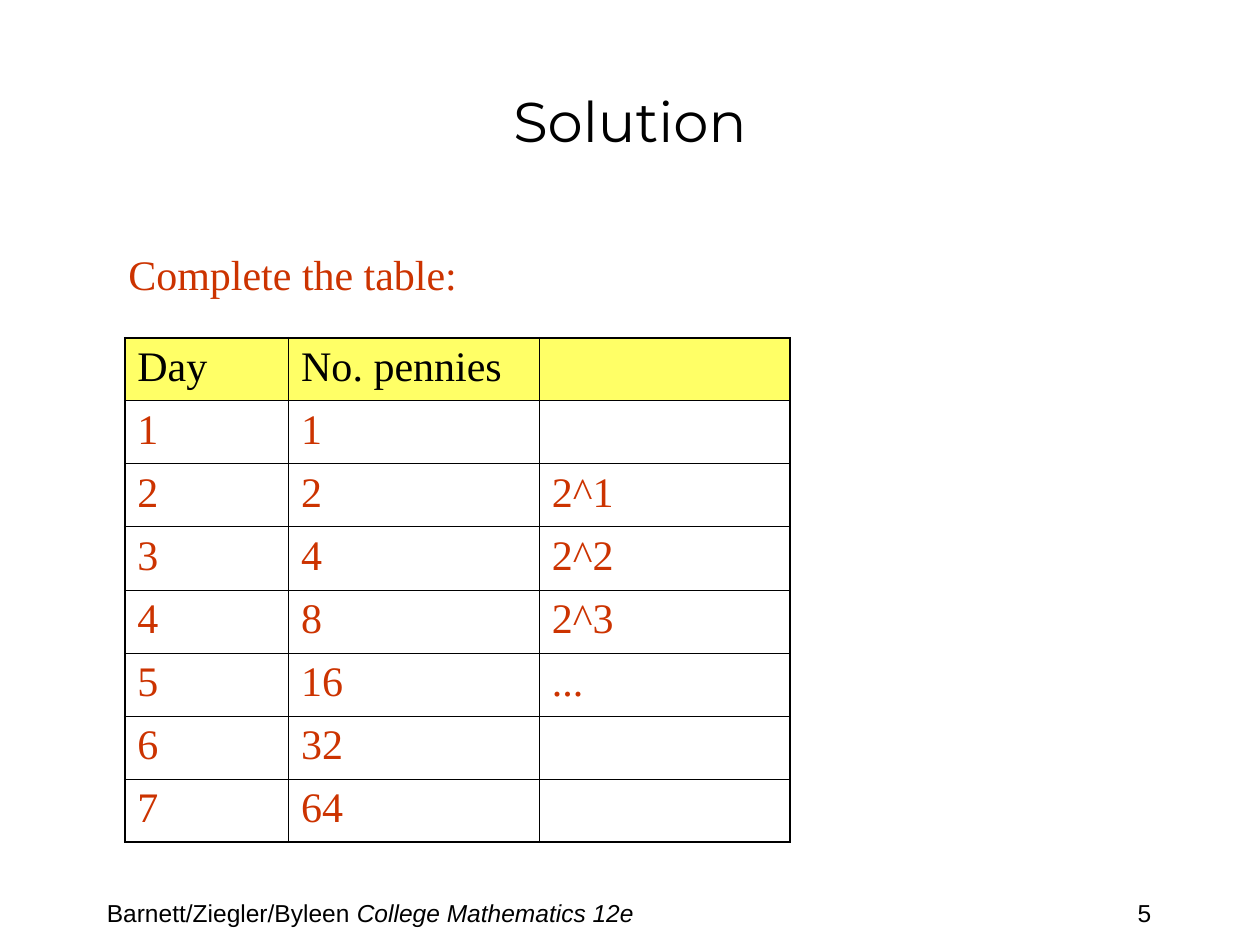
import pptx
import pptx.dml.color
import pptx.enum.text
import pptx.oxml.ns
import pptx.util
from lxml import etree

Inches = pptx.util.Inches
Pt = pptx.util.Pt
RGBColor = pptx.dml.color.RGBColor
Align = pptx.enum.text.PP_ALIGN
Anchor = pptx.enum.text.MSO_ANCHOR

BLACK = RGBColor(0x00, 0x00, 0x00)
RED = RGBColor(0xCC, 0x33, 0x00)
YELLOW = RGBColor(0xFF, 0xFF, 0x66)
THICK, THIN = 1.08, 0.45
HEADS = ["Day", "No. pennies", ""]
POWERS = ["", "2^1", "2^2", "2^3", "...", "", ""]
ROWS = [HEADS] + [
    [str(day), str(2 ** (day - 1)), power]
    for day, power in enumerate(POWERS, 1)
]


def write(para, text, font="Times New Roman", size=24, color=BLACK, italic=False):
    run = para.add_run()
    run.text = text
    run.font.name = font
    run.font.size = Pt(size)
    run.font.color.rgb = color
    run.font.bold = False
    run.font.italic = italic


def edge(cell, side, width):
    props = cell._tc.get_or_add_tcPr()
    line = etree.SubElement(props, pptx.oxml.ns.qn(f"a:ln{side}"), w=str(Pt(width)))
    fill = etree.SubElement(line, pptx.oxml.ns.qn("a:solidFill"))
    etree.SubElement(fill, pptx.oxml.ns.qn("a:srgbClr"), val=str(BLACK))


class Page:
    def __init__(self, deck):
        self.slide = deck.slides.add_slide(deck.slide_layouts[5])

    def title(self, text, left, top, width, height):
        shape = self.slide.shapes.title
        shape.left, shape.top = Inches(left), Inches(top)
        shape.width, shape.height = Inches(width), Inches(height)
        frame = shape.text_frame
        frame.vertical_anchor = Anchor.MIDDLE
        frame.margin_left = frame.margin_right = 0
        frame.margin_top = frame.margin_bottom = 0
        para = frame.paragraphs[0]
        para.alignment = Align.CENTER
        write(para, text, font="Montserrat", size=32)

    def label(self, left, top, width, height, wrap=True):
        box = self.slide.shapes.add_textbox(
            Inches(left), Inches(top), Inches(width), Inches(height))
        box.text_frame.word_wrap = wrap
        return box.text_frame.paragraphs[0]

    def table(self, rows, left, top, widths, height):
        table = self.slide.shapes.add_table(
            len(rows), len(widths), Inches(left), Inches(top),
            Inches(sum(widths)), Inches(height * len(rows))).table
        table.first_row = table.horz_banding = False
        for col, width in zip(table.columns, widths):
            col.width = Inches(width)
        for r, row in enumerate(rows):
            table.rows[r].height = Inches(height)
            for c, text in enumerate(row):
                self.cell(table.cell(r, c), text, r == 0, {
                    "L": c == 0,
                    "R": c == len(widths) - 1,
                    "T": r == 0,
                    "B": r == len(rows) - 1,
                })

    def cell(self, cell, text, head, outer):
        for side, thick in outer.items():
            edge(cell, side, THICK if thick else THIN)
        if head:
            cell.fill.solid()
            cell.fill.fore_color.rgb = YELLOW
        else:
            cell.fill.background()
        if text:
            para = cell.text_frame.paragraphs[0]
            write(para, text, color=BLACK if head else RED)


def main():
    deck = pptx.Presentation()
    deck.slide_width, deck.slide_height = Inches(10), Inches(7.5)
    page = Page(deck)
    write(page.label(8.93, 7.08, 1.09, 0.34, wrap=False), "5", font="Arial", size=14)
    foot = page.label(0.75, 7.08, 5.83, 0.25)
    write(foot, "Barnett/Ziegler/Byleen ", font="Arial", size=14)
    write(foot, "College Mathematics 12e", font="Arial", size=14, italic=True)
    page.title("Solution", 0.75, 0.33, 8.5, 1.25)
    page.table(ROWS, 0.99, 2.68, [1.3, 1.99, 1.99], 0.5)
    write(page.label(0.92, 1.92, 5.67, 0.5), "Complete the table:", color=RED)
    deck.save("out.pptx")


if __name__ == "__main__":
    main()
